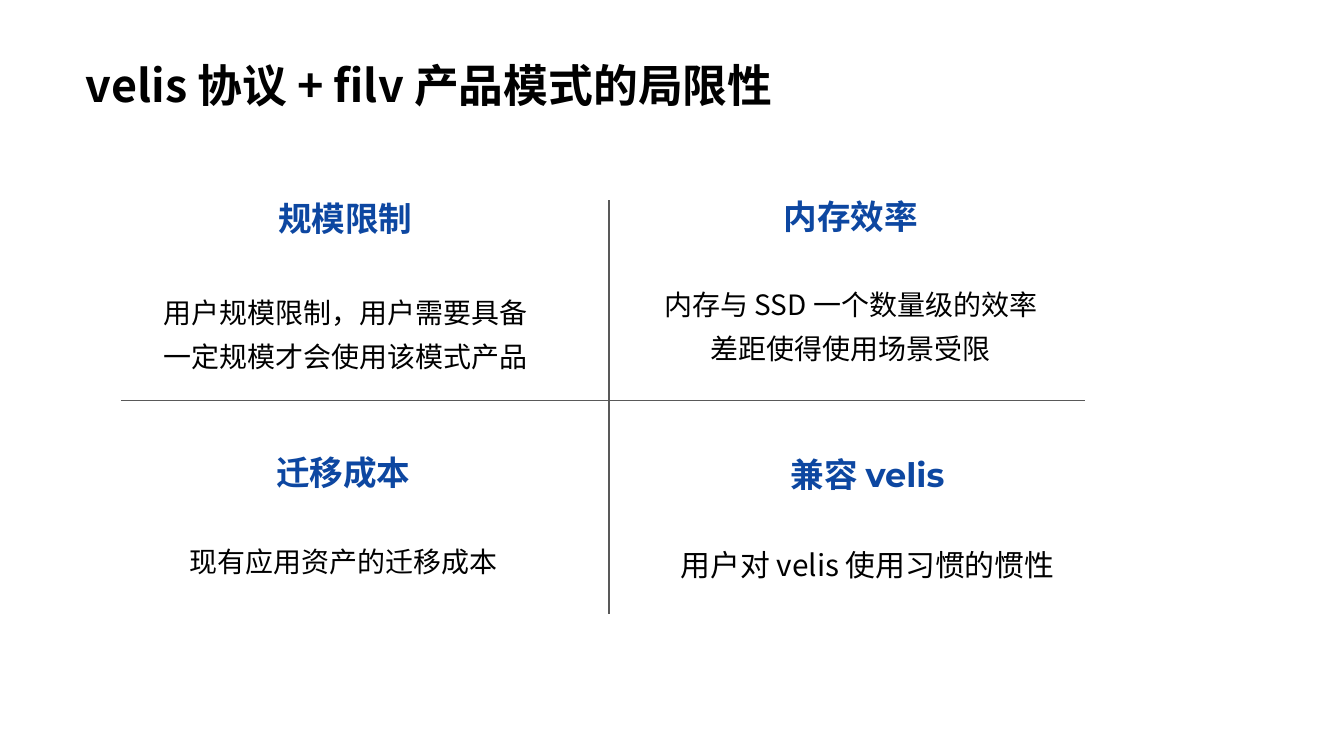
import pptx
import pptx.util
import pptx.dml.color
import pptx.enum.text
import pptx.enum.shapes
import pptx.oxml.ns
import lxml.etree

WIDE = 10
HIGH = WIDE * 9 / 16
COLORS = {"ink": "000000", "head": "0D47A1", "rule": "595959"}
SANS, HEAD = "Noto Sans CJK SC", "Montserrat"
LEFT, RIGHT = 1.02, 4.83
TOP, LOW = 1.4, 3.3

CELLS = [
    (LEFT, TOP + 0.01, 3.1, 1.35, "规模限制", "用户规模限制，用户需要具备一定规模才会使用该模式产品", 15, 25),
    (RIGHT, TOP - 0.01, 3, 2.16, "内存效率", "内存与 SSD 一个数量级的效率差距使得使用场景受限", 15, 22),
    (LEFT, LOW, 3.07, 1.51, "迁移成本", "现有应用资产的迁移成本", 15, 22),
    (RIGHT, LOW + 0.01, 3.25, 1.87, "兼容 velis", "用户对 velis 使用习惯的惯性", 16, 22),
]


def inch(*sizes):
    return [pptx.util.Inches(size) for size in sizes]


def color(name):
    return pptx.dml.color.RGBColor.from_string(COLORS[name])


def add_run(para, text, size, face, tint, bold):
    run = para.add_run()
    run.text = text
    font = run.font
    font.size = pptx.util.Pt(size)
    font.name = face
    font.bold = bold
    font.color.rgb = color(tint)
    east = lxml.etree.SubElement(run._r.get_or_add_rPr(), pptx.oxml.ns.qn("a:ea"))
    east.set("typeface", SANS)


def add_box(slide, left, top, width, height, pad):
    frame = slide.shapes.add_textbox(*inch(left, top, width, height)).text_frame
    frame.word_wrap = True
    frame.margin_left = frame.margin_right = pptx.util.Inches(0.1)
    frame.margin_top = frame.margin_bottom = pptx.util.Inches(pad)
    return frame


def add_title(slide, text):
    frame = add_box(slide, 0.54, 0.38, 6.01, 0.91, 0.05)
    add_run(frame.paragraphs[0], text, 24, SANS, "ink", True)


def add_cell(slide, left, top, width, height, head, body, size, gap):
    frame = add_box(slide, left, top, width, height, 0.1)
    first, last = frame.paragraphs[0], frame.add_paragraph()
    for para, space in ((first, 0.9), (last, 1.3)):
        para.alignment = pptx.enum.text.PP_ALIGN.CENTER
        para.line_spacing = space
    last.space_before = pptx.util.Pt(gap)
    add_run(first, head, 18, HEAD, "head", True)
    add_run(last, body, size, SANS, "ink", False)


def add_rule(slide, *ends):
    kind = pptx.enum.shapes.MSO_CONNECTOR.STRAIGHT
    rule = slide.shapes.add_connector(kind, *inch(*ends))
    rule.line.color.rgb = color("rule")
    rule.line.width = pptx.util.Pt(0.75)
    lxml.etree.SubElement(rule._element.spPr, pptx.oxml.ns.qn("a:effectLst"))


def main():
    deck = pptx.Presentation()
    deck.slide_width, deck.slide_height = inch(WIDE, HIGH)
    slide = deck.slides.add_slide(deck.slide_layouts[6])
    add_title(slide, "velis 协议 + filv 产品模式的局限性")
    for cell in CELLS:
        add_cell(slide, *cell)
    add_rule(slide, 0.9, 2.98, 8.07, 2.98)
    add_rule(slide, 4.53, 1.49, 4.53, 4.57)
    deck.save("out.pptx")


if __name__ == "__main__":
    main()
